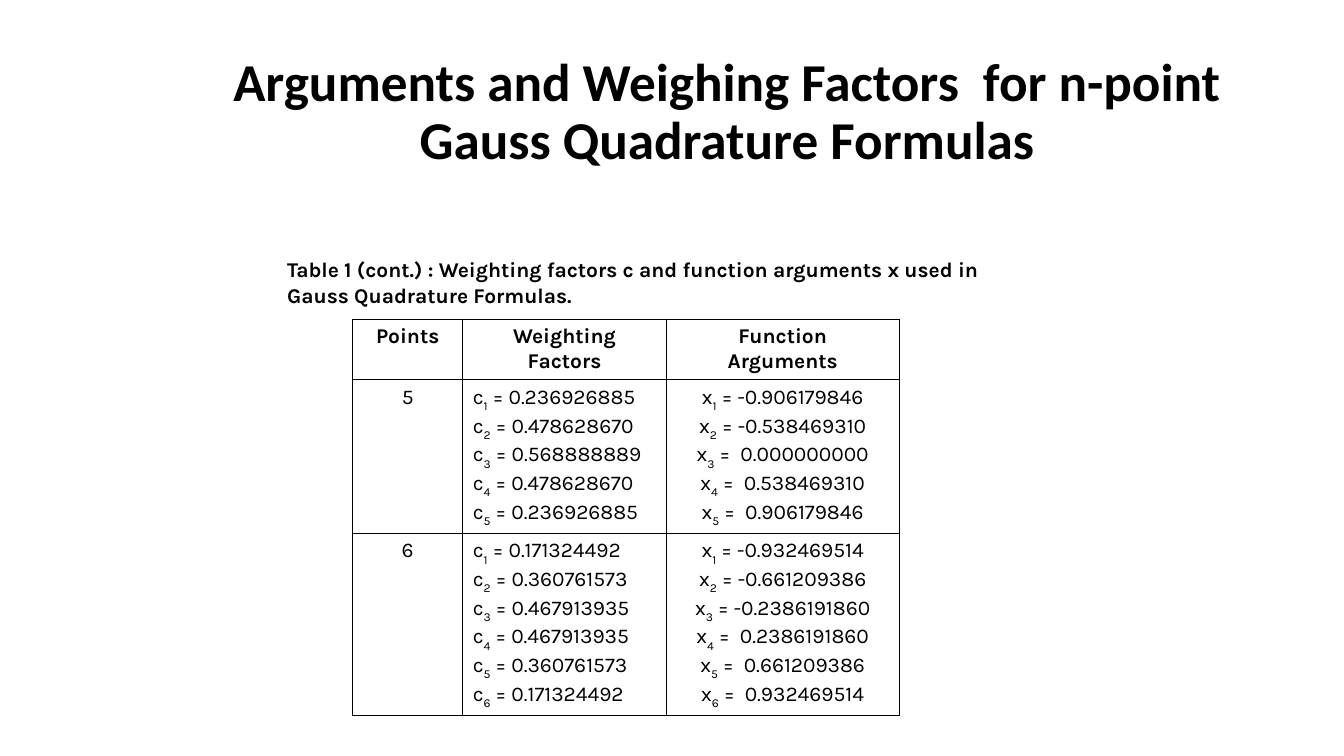
"""Build the slide with the Gauss quadrature weights and arguments."""
from lxml.etree import SubElement
from pptx import Presentation
from pptx.dml.color import RGBColor
from pptx.enum.text import MSO_ANCHOR as Anchor, MSO_AUTO_SIZE as AutoSize, PP_ALIGN as Align
from pptx.oxml.ns import qn
from pptx.util import Pt

COLORS = {"ink": "000000"}
COL_WIDTHS = [78.5, 145.5, 166.3]
ROW_HEIGHTS = [43.2, 97.2, 115.2]
HEADERS = ["Points", "Weighting\nFactors", "Function\nArguments"]
FORMULAS = {
    "5": (
        ["0.236926885", "0.478628670", "0.568888889", "0.478628670", "0.236926885"],
        ["-0.906179846", "-0.538469310", " 0.000000000", " 0.538469310", " 0.906179846"],
    ),
    "6": (
        ["0.171324492", "0.360761573", "0.467913935",
         "0.467913935", "0.360761573", "0.171324492"],
        ["-0.932469514", "-0.661209386", "-0.2386191860",
         " 0.2386191860", " 0.661209386", " 0.932469514"],
    ),
}


def write(tf, paragraphs, font="Karla", size=15, bold=False, align=Align.LEFT, spacing=None):
    for i, parts in enumerate(paragraphs):
        p = tf.paragraphs[0] if i == 0 else tf.add_paragraph()
        p.alignment = align
        if spacing:
            p.line_spacing = spacing
        for j, text in enumerate(parts):
            if text == "\v":
                p.add_line_break()
                continue
            r = p.add_run()
            r.text = text
            r.font.name = font
            r.font.size = Pt(size)
            r.font.bold = bold
            r.font.color.rgb = RGBColor.from_string(COLORS["ink"])
            if len(parts) == 3 and j == 1 and text.isdigit():
                r.font._element.set("baseline", "-30000")


def add_title(s, text):
    sp = s.shapes.title
    sp.left, sp.top, sp.width, sp.height = Pt(144.7), Pt(28.8), Pt(749.5), Pt(104.4)
    tf = sp.text_frame
    tf.auto_size = AutoSize.NONE
    tf.vertical_anchor = Anchor.MIDDLE
    write(tf, [[text]], font="Calibri", size=38, bold=True, align=Align.CENTER, spacing=0.9)


def add_caption(s, lines):
    tf = s.shapes.add_textbox(Pt(198), Pt(180), Pt(581.8), Pt(70.6)).text_frame
    tf.word_wrap = True
    write(tf, [[lines[0], "\v", lines[1]]], bold=True)


def set_borders(cell, top, bottom):
    tc_pr = cell._tc.get_or_add_tcPr()
    for side, width in (("L", 1), ("R", 1), ("T", top), ("B", bottom)):
        ln = SubElement(tc_pr, qn(f"a:ln{side}"), w=str(Pt(width)))
        SubElement(SubElement(ln, qn("a:solidFill")), qn("a:srgbClr"), val=COLORS["ink"])


def indexed(symbol, values):
    return [[symbol, str(i), f" = {value}"] for i, value in enumerate(values, 1)]


def add_formula_table(s):
    rows = [[[[line] for line in header.split("\n")] for header in HEADERS]]
    for points, (weights, arguments) in FORMULAS.items():
        rows.append([[[points]], indexed("c", weights), indexed("x", arguments)])
    frame = s.shapes.add_table(len(rows), len(HEADERS), Pt(252), Pt(228.2),
                               Pt(sum(COL_WIDTHS)), Pt(sum(ROW_HEIGHTS)))
    table = frame.table
    table.first_row = table.horz_banding = False
    for column, width in zip(table.columns, COL_WIDTHS):
        column.width = Pt(width)
    last = len(rows) - 1
    for i, row in enumerate(rows):
        table.rows[i].height = Pt(ROW_HEIGHTS[i])
        for j, paragraphs in enumerate(row):
            cell = table.cell(i, j)
            set_borders(cell, 1 if i == 0 else 0.75, 1 if i == last else 0.75)
            cell.fill.background()
            align = Align.LEFT if i > 0 and j == 1 else Align.CENTER
            write(cell.text_frame, paragraphs, bold=i == 0, align=align)


def main():
    prs = Presentation()
    prs.slide_width, prs.slide_height = Pt(960), Pt(540)
    s = prs.slides.add_slide(prs.slide_layouts[5])
    add_title(s, "Arguments and Weighing Factors  for n-point Gauss Quadrature Formulas")
    add_formula_table(s)
    add_caption(s, ["Table 1 (cont.) : Weighting factors c and function arguments x used in",
                    "Gauss Quadrature Formulas."])
    prs.save("out.pptx")


if __name__ == "__main__":
    main()
